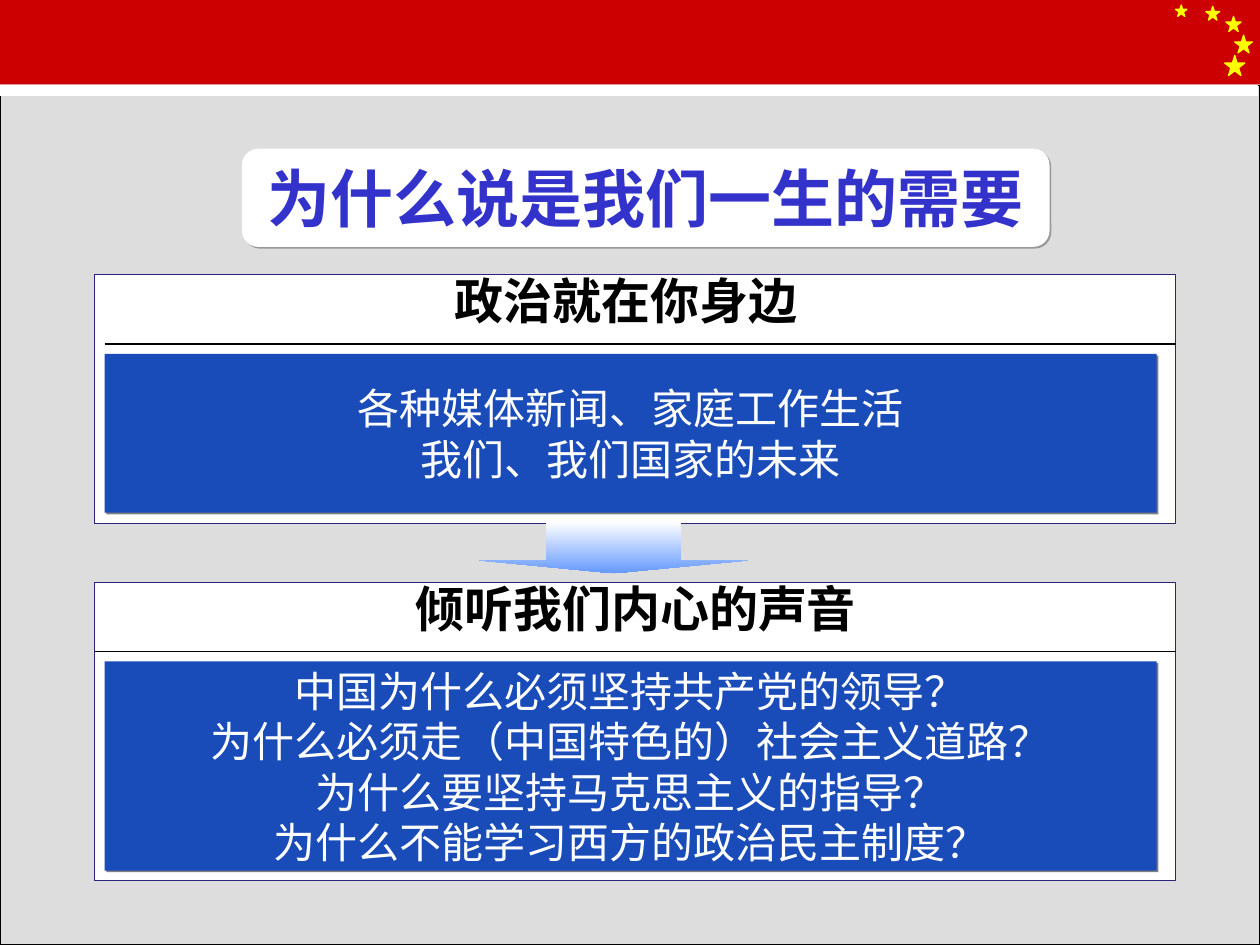
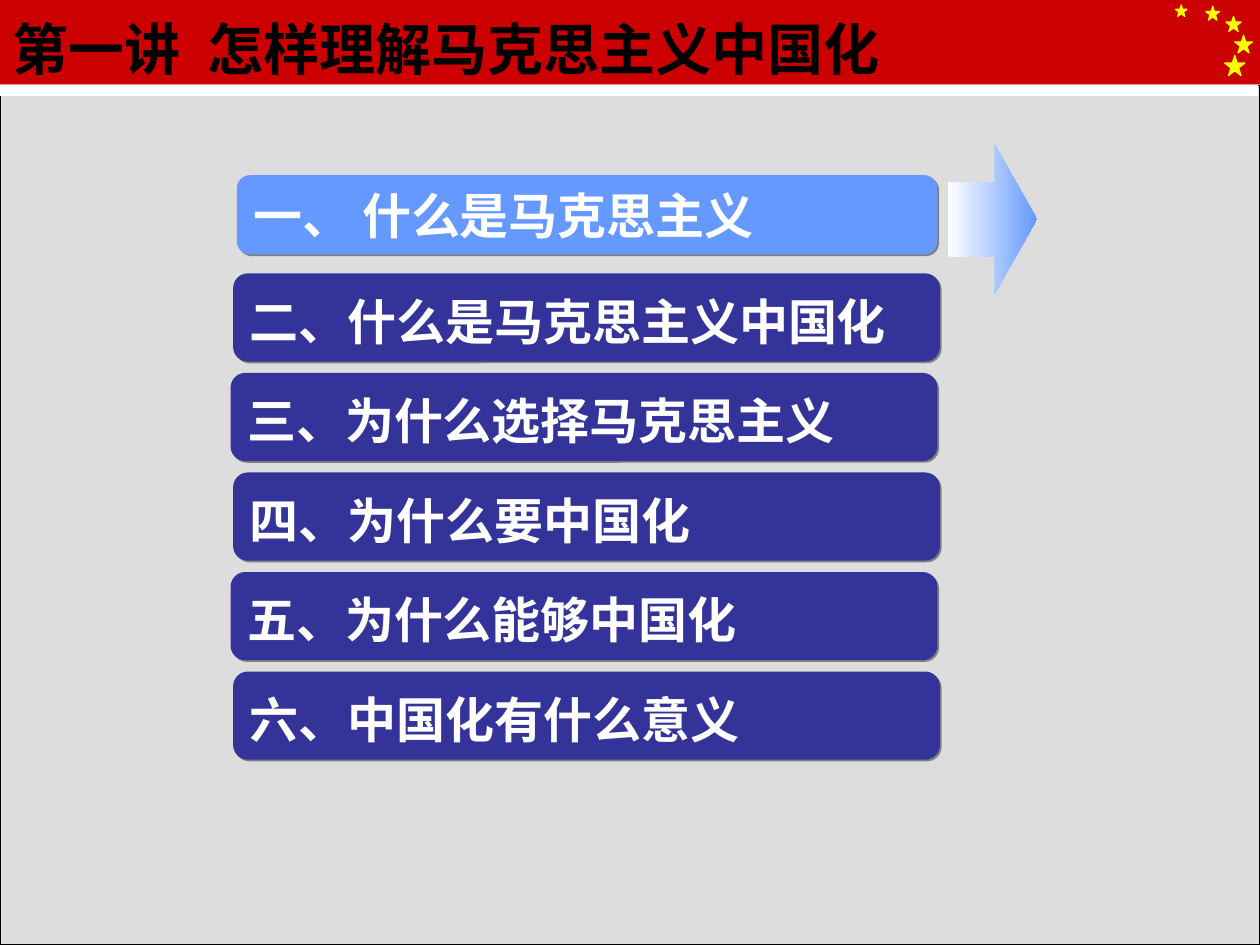
from lxml import etree
from pptx import Presentation
from pptx.dml.color import RGBColor
from pptx.enum.shapes import MSO_CONNECTOR as Connector, MSO_SHAPE as Shape
from pptx.enum.text import MSO_ANCHOR as Anchor, PP_ALIGN as Align
from pptx.oxml import parse_xml
from pptx.oxml.ns import nsdecls, qn
from pptx.util import Inches, Pt

COLORS = {
    "background": "EAEAEA",
    "band": "CC0000",
    "star": "FFFF00",
    "body": "DDDDDD",
    "white": "FFFFFF",
    "black": "000000",
    "frame": "28257B",
    "panel": "194BB9",
    "headline": "3333CC",
    "current": "6699FF",
    "topic": "333399",
    "shadow": "808080",
    "soft_shadow": "999999",
}
SERIF, SANS = "Times New Roman", "Noto Sans CJK SC"

STARS = [
    (9.72, 0.44, 0.16),
    (9.57, 0.05, 0.11),
    (9.33, 0.04, 0.09),
    (9.73, 0.13, 0.12),
    (9.80, 0.28, 0.14),
]

HEADLINE = "为什么说是我们一生的需要"
SECTIONS = [
    {
        "heading": "政治就在你身边",
        "top": 2.18, "height": 1.97,
        "heading_left": 3.51, "heading_width": 3.1, "rule_left": 0.83,
        "lines": ["各种媒体新闻、家庭工作生活", "我们、我们国家的未来"],
    },
    {
        "heading": "倾听我们内心的声音",
        "top": 4.62, "height": 2.37,
        "heading_left": 3.2, "heading_width": 3.9, "rule_left": 0.75,
        "lines": [
            "中国为什么必须坚持共产党的领导？",
            "为什么必须走（中国特色的）社会主义道路？",
            "为什么要坚持马克思主义的指导？",
            "为什么不能学习西方的政治民主制度？",
        ],
    },
]
FRAME_LEFT, FRAME_WIDTH = 0.75, 8.58

LECTURE = "第一讲\t怎样理解马克思主义中国化"
LECTURE_TAB = 1.55
CURRENT_TOPIC = "一、 什么是马克思主义"
NEXT_TOPICS = [
    "二、什么是马克思主义中国化",
    "三、为什么选择马克思主义",
    "四、为什么要中国化",
    "五、为什么能够中国化",
    "六、中国化有什么意义",
]
TOPIC_TOP, TOPIC_STEP = 2.17, 0.79


def color(name):
    return RGBColor.from_string(COLORS[name])


def add_block(page, kind, left, top, width, height, fill=None, line=None,
              line_width=0.75, shadow=None):
    block = page.shapes.add_shape(kind, Inches(left), Inches(top), Inches(width), Inches(height))
    block.shadow.inherit = False
    if fill:
        block.fill.solid()
        block.fill.fore_color.rgb = color(fill)
    if line:
        block.line.color.rgb = color(line)
        block.line.width = Pt(line_width)
    else:
        block.line.fill.background()
    if shadow:
        effects = block._element.spPr.find(qn("a:effectLst"))
        effects.append(parse_xml(
            f'<a:outerShdw {nsdecls("a")} blurRad="0" dist="{Pt(1.4)}" dir="2700000" '
            f'algn="ctr" rotWithShape="0"><a:srgbClr val="{COLORS[shadow]}"/></a:outerShdw>'))
    return block


def write(box, lines, size, ink, font=SERIF, bold=False, align=Align.LEFT,
          anchor=Anchor.MIDDLE, wrap=True):
    frame = box.text_frame
    frame.text = "\n".join(lines)
    frame.word_wrap = wrap
    frame.vertical_anchor = anchor
    for para in frame.paragraphs:
        para.alignment = align
        for span in para.runs:
            span.font.name = font
            span.font.size = Pt(size)
            span.font.bold = bold
            span.font.color.rgb = color(ink)
            east_asian = etree.SubElement(span.font._element, qn("a:ea"))
            east_asian.set("typeface", SANS)


def add_text(page, left, top, width, height, lines, size, ink, **style):
    box = page.shapes.add_textbox(Inches(left), Inches(top), Inches(width), Inches(height))
    write(box, lines, size, ink, **style)
    return box


def add_arrow(page, kind, left, top, width, height, head, angle):
    arrow = add_block(page, kind, left, top, width, height)
    arrow.adjustments[1] = head
    arrow.fill.gradient()
    arrow.fill.gradient_angle = angle
    for stop, name in zip(arrow.fill.gradient_stops, ("white", "current")):
        stop.color.rgb = color(name)


def add_rule(page, left, right, y):
    rule = page.shapes.add_connector(
        Connector.STRAIGHT, Inches(left), Inches(y), Inches(right), Inches(y))
    rule.line.color.rgb = color("black")
    rule.line.width = Pt(0.75)
    etree.SubElement(rule._element.spPr, qn("a:effectLst"))


def add_page(deck):
    page = deck.slides.add_slide(deck.slide_layouts[6])
    page.background.fill.solid()
    page.background.fill.fore_color.rgb = color("background")
    add_block(page, Shape.RECTANGLE, 0, 0, 10, 0.67, "band")
    for left, top, size in STARS:
        add_block(page, Shape.STAR_5_POINT, left, top, size, size, "star", "star")
    add_block(page, Shape.RECTANGLE, 0, 0.68, 10, 6.82, "body", "black")
    add_block(page, Shape.RECTANGLE, 0, 0.68, 9.98, 0.08, "white", "white")
    return page


def add_section(page, section):
    top, height = section["top"], section["height"]
    add_block(page, Shape.RECTANGLE, FRAME_LEFT, top, FRAME_WIDTH, height,
              "white", "frame", 0.25)
    add_text(page, section["heading_left"], top - 0.08, section["heading_width"], 0.57,
             [section["heading"]], 28, "black", bold=True, anchor=Anchor.TOP)
    add_rule(page, section["rule_left"], FRAME_LEFT + FRAME_WIDTH, top + 0.55)
    panel = add_block(page, Shape.RECTANGLE, 0.83, top + 0.63, 8.35, height - 0.71,
                      "panel", shadow="shadow")
    write(panel, section["lines"], 24, "white", align=Align.CENTER, wrap=False)


def add_topic(page, left, top, width, height, text, fill):
    topic = add_block(page, Shape.ROUNDED_RECTANGLE, left, top, width, height,
                      fill, shadow="shadow")
    write(topic, [text], 28, "white", bold=True)
    return topic


def build_needs_page(deck):
    page = add_page(deck)
    for section in SECTIONS:
        add_section(page, section)
    add_arrow(page, Shape.DOWN_ARROW, 3.8, 4.14, 2.14, 0.41, 0.25, 270)
    headline = add_block(page, Shape.ROUNDED_RECTANGLE, 1.92, 1.18, 6.41, 0.78,
                         "white", shadow="soft_shadow")
    write(headline, [HEADLINE], 36, "headline", font=SANS, bold=True, align=Align.CENTER)


def build_lecture_page(deck):
    page = add_page(deck)
    title = add_text(page, 0, 0, 7.5, 0.76, [LECTURE], 32, "black", bold=True)
    properties = title.text_frame.paragraphs[0]._p.get_or_add_pPr()
    tabs = etree.SubElement(properties, qn("a:tabLst"))
    etree.SubElement(tabs, qn("a:tab"), pos=str(Inches(LECTURE_TAB)), algn="l")
    add_arrow(page, Shape.RIGHT_ARROW, 7.52, 1.15, 0.71, 1.18, 0.47, 0)
    add_topic(page, 1.88, 1.39, 5.56, 0.63, CURRENT_TOPIC, "current")
    for index, text in enumerate(NEXT_TOPICS):
        left = 1.83 if index % 2 else 1.85
        topic = add_topic(page, left, TOPIC_TOP + index * TOPIC_STEP, 5.61, 0.7, text, "topic")
        topic.text_frame.margin_top = Inches(0.1)


def main():
    deck = Presentation()
    deck.slide_width, deck.slide_height = Inches(10), Inches(7.5)
    build_needs_page(deck)
    build_lecture_page(deck)
    deck.save("out.pptx")


if __name__ == "__main__":
    main()
